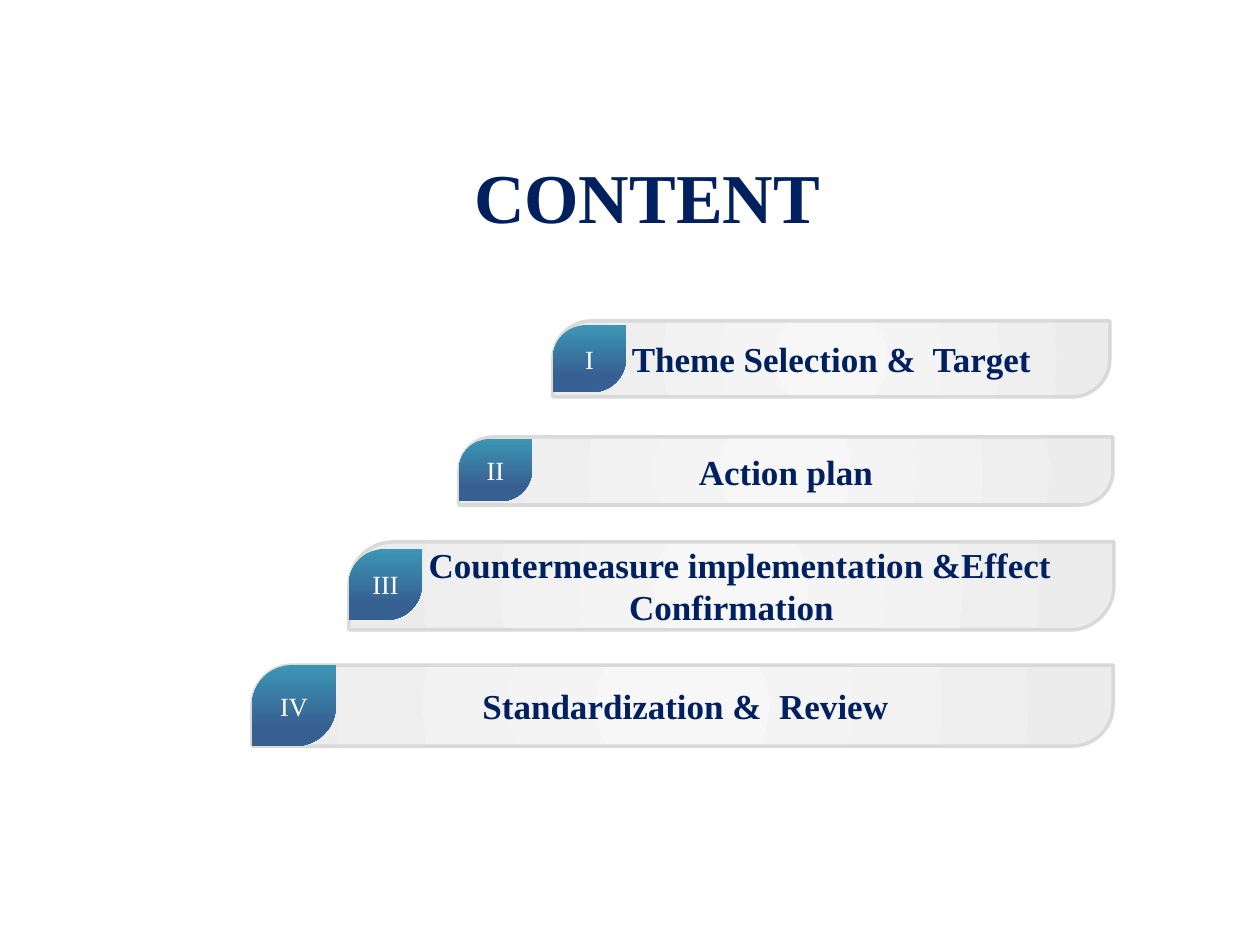
from lxml import etree
from pptx import Presentation
from pptx import util as u
from pptx.dml.color import RGBColor
from pptx.enum import shapes, text
from pptx.oxml import ns

PX = u.Inches(1) / 126


def px(length):
    return u.Emu(round(length * PX))


def color(value):
    return RGBColor.from_string(value)


class ContentSlide:
    font = "Times New Roman"
    navy = "002060"
    edge = "D9D9D9"
    bar_stops = [(0, "F7F7F7"), (100, "ECECEC")]
    badge_stops = [(0, "3C96B4"), (76, "376092")]

    def __init__(self, deck):
        self.slide = deck.slides.add_slide(deck.slide_layouts[5])

    def set_text(self, frame, words, size, fill, bold=True):
        para = frame.paragraphs[0]
        para.text = words
        para.alignment = text.PP_ALIGN.CENTER
        para.font.name = self.font
        para.font.size = u.Pt(size)
        para.font.bold = bold
        para.font.color.rgb = color(fill)
        return para

    def title(self, words, left, top, width, height):
        box = self.slide.shapes.title
        box.left, box.top, box.width, box.height = map(px, (left, top, width, height))
        frame = box.text_frame
        frame.word_wrap = False
        frame.auto_size = text.MSO_AUTO_SIZE.NONE
        frame.vertical_anchor = text.MSO_ANCHOR.TOP
        self.set_text(frame, words, 40, self.navy)

    def gradient(self, shape, stops, radial):
        """Fill from the centre outwards if radial, else from top to bottom."""
        shape.fill.gradient()
        grad = shape.element.spPr.find(ns.qn("a:gradFill"))
        for child in list(grad):
            grad.remove(child)
        stop_list = etree.SubElement(grad, ns.qn("a:gsLst"))
        for position, value in stops:
            stop = etree.SubElement(stop_list, ns.qn("a:gs"), pos=str(position * 1000))
            etree.SubElement(stop, ns.qn("a:srgbClr"), val=value)
        if radial:
            shade = etree.SubElement(grad, ns.qn("a:path"), {"path": "circle"})
            etree.SubElement(shade, ns.qn("a:fillToRect"),
                             dict.fromkeys("ltrb", "50000"))
        else:
            etree.SubElement(grad, ns.qn("a:lin"), ang="5400000", scaled="0")

    def leaf(self, left, top, width, height, stops, radial):
        """Add a rectangle with two opposite corners fully rounded."""
        shape = self.slide.shapes.add_shape(
            shapes.MSO_SHAPE.ROUND_2_DIAG_RECTANGLE,
            *map(px, (left, top, width, height)))
        shape.adjustments[0] = 0.5
        shape.adjustments[1] = 0
        shape.shadow.inherit = False
        self.gradient(shape, stops, radial)
        shape.text_frame.word_wrap = True
        shape.text_frame.vertical_anchor = text.MSO_ANCHOR.MIDDLE
        return shape

    def bar(self, words, left, top, width, height, indent):
        shape = self.leaf(left, top, width, height, self.bar_stops, True)
        shape.line.color.rgb = color(self.edge)
        shape.line.width = u.Pt(2)
        para = self.set_text(shape.text_frame, words, 20, self.navy)
        if indent:
            para._p.get_or_add_pPr().set("indent", str(px(indent)))

    def badge(self, numeral, left, top, width, height):
        shape = self.leaf(left, top, width, height, self.badge_stops, False)
        shape.line.fill.background()
        self.set_text(shape.text_frame, numeral, 15, "FFFFFF", bold=False)


# numeral, words, left, bar (top, width, height), badge (top, width, height), indent
CHAPTERS = [
    ("I", "Theme Selection &  Target", 553, (321, 557, 76), (325, 73, 67), 0),
    ("II", "Action plan", 459, (437, 654, 68), (439, 73, 62), 0),
    ("III", "Countermeasure implementation &Effect Confirmation",
     349, (542, 765, 88), (549, 73, 71), 17),
    ("IV", "Standardization &  Review", 252, (665, 861, 81), (665, 84, 81), 6),
]


def main():
    deck = Presentation()
    deck.slide_width, deck.slide_height = u.Inches(10), u.Inches(7.5)
    page = ContentSlide(deck)
    page.title("CONTENT", 460, 147, 374, 97)
    for numeral, words, left, bar, badge, indent in CHAPTERS:
        page.bar(words, left, *bar, indent)
        page.badge(numeral, left, *badge)
    deck.save("out.pptx")


if __name__ == "__main__":
    main()
